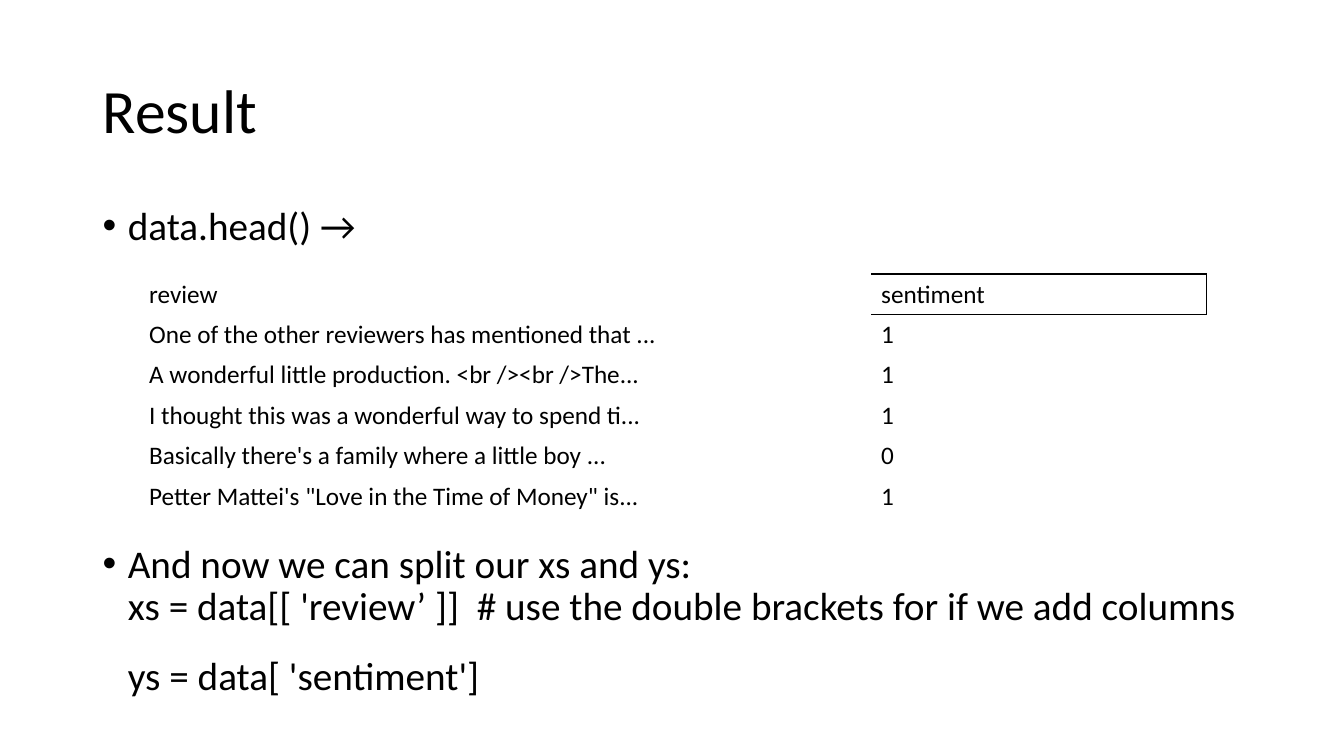
import pptx
import pptx.util
import pptx.dml.color
import pptx.enum.text
import pptx.oxml
import pptx.oxml.ns

PX = 9144  # 100 px to the inch
ANCHOR = pptx.enum.text.MSO_ANCHOR
NO_GRID = "{2D5ABB26-0587-4C30-8999-92F81FD0307C}"


def px(size):
    return pptx.util.Emu(size * PX)


def color(code):
    return pptx.dml.color.RGBColor.from_string(code)


class Deck:
    font = "Calibri"
    ink = "000000"

    def __init__(self, wide, high):
        self.file = pptx.Presentation()
        self.file.slide_width, self.file.slide_height = px(wide), px(high)
        self.slide = self.file.slides.add_slide(self.file.slide_layouts[5])

    def style(self, para, size):
        para.alignment = pptx.enum.text.PP_ALIGN.LEFT
        for run in para.runs:
            run.font.name = self.font
            run.font.size = pptx.util.Pt(size)
            run.font.color.rgb = color(self.ink)

    def title(self, text, left, top, wide, high):
        shape = self.slide.shapes.title
        shape.left, shape.top = px(left), px(top)
        shape.width, shape.height = px(wide), px(high)
        frame = shape.text_frame
        frame.text = text
        frame.vertical_anchor = ANCHOR.MIDDLE
        para = frame.paragraphs[0]
        para.line_spacing = 0.9
        self.style(para, 44)

    def bullets(self, items, left, top, wide, high):
        box = self.slide.shapes.add_textbox(px(left), px(top), px(wide), px(high))
        frame = box.text_frame
        frame.word_wrap = True
        frame.text = "\n".join(text for text, gap in items)
        for para, (text, gap) in zip(frame.paragraphs, items):
            para.text = text
            para.line_spacing = 0.9
            para.space_before = pptx.util.Pt(gap)
            self.style(para, 28)
            # Hanging bullet
            props = para._p.get_or_add_pPr()
            props.set("marL", str(px(25)))
            props.set("indent", str(px(-25)))
            for tag, key, value in (("buFont", "typeface", "Arial"), ("buChar", "char", "•")):
                mark = pptx.oxml.parse_xml(
                    f'<a:{tag} {pptx.oxml.ns.nsdecls("a")} {key}="{value}"/>')
                props.append(mark)

    def border(self, cell, side, width):
        line = pptx.oxml.parse_xml(
            f'<a:ln{side} {pptx.oxml.ns.nsdecls("a")} w="{pptx.util.Pt(width)}">'
            f'<a:solidFill><a:srgbClr val="{self.ink}"/></a:solidFill></a:ln{side}>')
        cell._tc.get_or_add_tcPr().append(line)

    def table(self, rows, left, top, widths, high):
        shape = self.slide.shapes.add_table(
            len(rows), len(widths), px(left), px(top), px(sum(widths)), px(high * len(rows)))
        grid = shape.table
        grid.first_row = grid.horz_banding = False
        grid._tbl.tblPr.find(pptx.oxml.ns.qn("a:tableStyleId")).text = NO_GRID
        for col, wide in zip(grid.columns, widths):
            col.width = px(wide)
        # Frame around the last heading
        head = grid.cell(0, len(widths) - 1)
        for side, width in (("R", 1), ("T", 1.5), ("B", 1.5)):
            self.border(head, side, width)
        for r, row in enumerate(rows):
            grid.rows[r].height = px(high)
            for c, text in enumerate(row):
                cell = grid.cell(r, c)
                cell.text_frame.text = text
                cell.vertical_anchor = ANCHOR.MIDDLE
                cell.fill.background()
                self.style(cell.text_frame.paragraphs[0], 18)
        head.vertical_anchor = ANCHOR.TOP


def main():
    deck = Deck(1333, 750)

    # Heading
    deck.title("Result", 92, 40, 1150, 145)

    # Steps, with room for the table between them
    deck.bullets([
        ("data.head() →", 10),
        ("And now we can split our xs and ys:\v"
         "xs = data[[ 'review’ ]]  # use the double brackets for if we add columns \v"
         "ys = data[ 'sentiment']", 211),
    ], 92, 200, 1150, 510)

    # First rows of the data
    deck.table([
        ("review", "sentiment"),
        ("One of the other reviewers has mentioned that ...", "1"),
        ("A wonderful little production. <br /><br />The...", "1"),
        ("I thought this was a wonderful way to spend ti...", "1"),
        ("Basically there's a family where a little boy ...", "0"),
        ("Petter Mattei's \"Love in the Time of Money\" is...", "1"),
    ], 138, 272, (726, 333), 40)

    deck.file.save("out.pptx")


if __name__ == "__main__":
    main()
